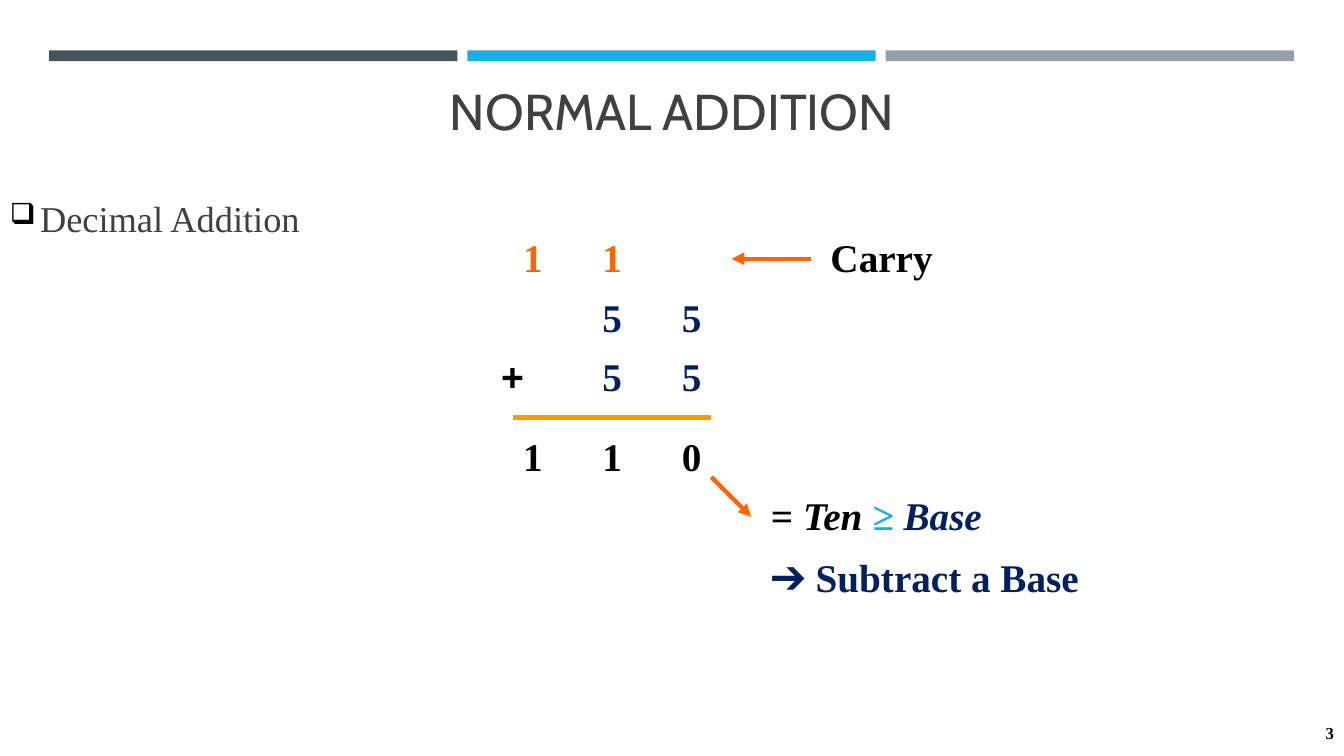
import pptx
import pptx.util
import pptx.dml.color
import pptx.enum.shapes
import pptx.enum.text
import pptx.oxml
import pptx.oxml.ns
from lxml import etree

Cm = pptx.util.Cm
Pt = pptx.util.Pt
ALIGN = pptx.enum.text.PP_ALIGN
ANCHOR = pptx.enum.text.MSO_ANCHOR

COLORS = {
    "slate": "465359", "sky": "1CADE4", "gray": "969FA7", "text": "404040",
    "black": "000000", "navy": "002060", "orange": "FF6600", "amber": "FF9900",
}
SERIF = "Times New Roman"
BARS = ["slate", "sky", "gray"]
TITLE = "NORMAL ADDITION"
TOPIC = "Decimal Addition"
PAGE_NUMBER = "3"
SUM_ROWS = [
    ("11 ", "orange", 6.02),
    (" 55", "navy", 7.52),
    (" 55", "navy", 9.02),
    ("110", "black", 11.02),
]
CONCLUSION = [
    [("= ", "black", False), ("Ten ", "black", True),
     ("≥ ", "sky", True), ("Base", "navy", True)],
    [("➔ Subtract a Base", "navy", False)],
]
LINES = [
    ((17.93, 10.52), (12.93, 10.52), "amber", False),
    ((17.93, 12.02), (18.93, 13.02), "orange", True),
    ((20.44, 6.52), (18.44, 6.52), "orange", True),
]

COLUMN_LEFT, COLUMN_STEP = 12.93, 2.0
DIGIT_WIDTH, DIGIT_HEIGHT = 1.0, 1.07
BAR_LEFT, BAR_STEP, BAR_WIDTH = 1.24, 10.54, 10.29
SLIDE_WIDTH, SLIDE_HEIGHT = 33.87, 19.05


def rgb(name):
    return pptx.dml.color.RGBColor.from_string(COLORS[name])


def add_text(slide, box, lines, size, font=SERIF, bold=True, align=ALIGN.LEFT,
             anchor=ANCHOR.TOP, spacing=0.9, inset=True):
    shape = slide.shapes.add_textbox(*map(Cm, box))
    frame = shape.text_frame
    frame.word_wrap = True
    frame.vertical_anchor = anchor
    if not inset:
        frame.margin_left = frame.margin_right = 0
        frame.margin_top = frame.margin_bottom = 0
    for index, runs in enumerate(lines):
        paragraph = frame.add_paragraph() if index else frame.paragraphs[0]
        paragraph.alignment = align
        paragraph.line_spacing = spacing
        if index:
            paragraph.space_before = Pt(size / 2)
        paragraph.font.name = font
        paragraph.font.size = Pt(size)
        paragraph.font.bold = bold
        for text, color, italic in runs:
            run = paragraph.add_run()
            run.text = text
            run.font.color.rgb = rgb(color)
            run.font.italic = italic
    return shape


def add_digit(slide, text, color, left, top, font=SERIF):
    add_text(slide, (left, top, DIGIT_WIDTH, DIGIT_HEIGHT), [[(text, color, False)]],
             28, font=font, align=ALIGN.CENTER, inset=False)


def add_bullet(paragraph):
    properties = paragraph._p.get_or_add_pPr()
    properties.set("marL", str(Cm(0.76)))
    properties.set("indent", str(Cm(-0.76)))
    color = etree.SubElement(properties, pptx.oxml.ns.qn("a:buClr"))
    etree.SubElement(color, pptx.oxml.ns.qn("a:srgbClr"), val=COLORS["black"])
    etree.SubElement(properties, pptx.oxml.ns.qn("a:buSzPct"), val="80000")
    etree.SubElement(properties, pptx.oxml.ns.qn("a:buChar"), char="❑")
    default_font = properties.find(pptx.oxml.ns.qn("a:defRPr"))
    properties.append(default_font)


def add_line(slide, start, end, color, arrow):
    line = slide.shapes.add_connector(
        pptx.enum.shapes.MSO_CONNECTOR.STRAIGHT, *map(Cm, start + end))
    line.line.color.rgb = rgb(color)
    line.line.width = Pt(3)
    if arrow:
        etree.SubElement(line.line._get_or_add_ln(), pptx.oxml.ns.qn("a:tailEnd"),
                         type="triangle")
    etree.SubElement(line._element.spPr, pptx.oxml.ns.qn("a:effectLst"))


def main():
    presentation = pptx.Presentation()
    presentation.slide_width = Cm(SLIDE_WIDTH)
    presentation.slide_height = Cm(SLIDE_HEIGHT)
    slide = presentation.slides.add_slide(presentation.slide_layouts[6])

    for index, color in enumerate(BARS):
        bar = slide.shapes.add_shape(
            pptx.enum.shapes.MSO_SHAPE.RECTANGLE, Cm(BAR_LEFT + index * BAR_STEP),
            Cm(1.27), Cm(BAR_WIDTH), Cm(0.27))
        bar.shadow.inherit = False
        bar.fill.solid()
        bar.fill.fore_color.rgb = rgb(color)
        bar.line.fill.background()

    add_text(slide, (0, 1.5, SLIDE_WIDTH, 2.77), [[(TITLE, "text", False)]], 36,
             font="Cabin", bold=False, align=ALIGN.CENTER, anchor=ANCHOR.MIDDLE)
    topic = add_text(slide, (0, 4.27, SLIDE_WIDTH, 14.78), [[(TOPIC, "text", False)]],
                     26, bold=False, spacing=1.5)
    add_bullet(topic.text_frame.paragraphs[0])
    add_text(slide, (30.94, 17.96, 2.93, 1.02), [[(PAGE_NUMBER, "black", False)]], 12,
             align=ALIGN.RIGHT, anchor=ANCHOR.MIDDLE, spacing=1.0)

    for digits, color, top in SUM_ROWS:
        for column, digit in enumerate(digits):
            if digit != " ":
                add_digit(slide, digit, color, COLUMN_LEFT + column * COLUMN_STEP, top)
    add_digit(slide, "+", "black", 12.42, 9.02, font="Arial")

    for line in LINES:
        add_line(slide, *line)
    add_text(slide, (20.93, 6.02, 3.5, DIGIT_HEIGHT), [[("Carry", "black", False)]],
             28, inset=False)
    add_text(slide, (19.43, 12.52, 8.0, 2.72), CONCLUSION, 28, inset=False)

    presentation.save("out.pptx")


if __name__ == "__main__":
    main()
